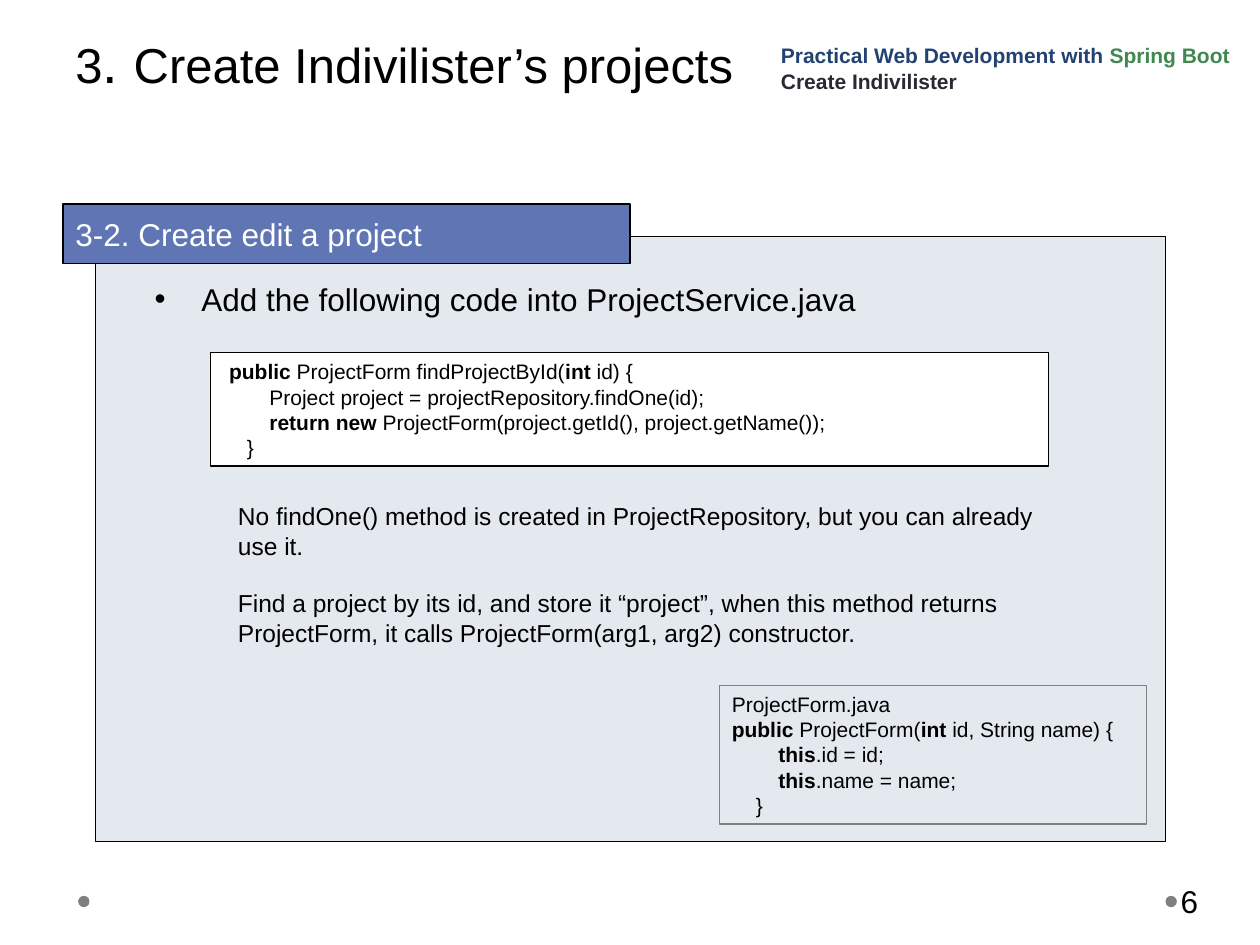
from pptx import Presentation
from pptx.dml.color import RGBColor
from pptx.enum.shapes import MSO_SHAPE
from pptx.enum.text import MSO_ANCHOR
from pptx.oxml import parse_xml
from pptx.oxml.ns import nsdecls
from pptx.util import Inches, Pt

RECT, DOT = MSO_SHAPE.RECTANGLE, MSO_SHAPE.OVAL
TOP, MIDDLE, BOTTOM = MSO_ANCHOR.TOP, MSO_ANCHOR.MIDDLE, MSO_ANCHOR.BOTTOM
WIDTH, HEIGHT = 10, 7.5
BLACK, WHITE, GRAY = "000000", "FFFFFF", "7F7F7F"
NAVY, GREEN, INK = "234271", "40884F", "292934"
PANEL, BANNER, FRAME = "E4E9EF", "6076B4", "808080"


def color(value):
    return RGBColor.from_string(value)


def place(box):
    return [Inches(length) for length in box]


def add_panel(page, box, fill=None, line=None, kind=RECT):
    panel = page.shapes.add_shape(kind, *place(box))
    panel.shadow.inherit = False
    if fill:
        panel.fill.solid()
        panel.fill.fore_color.rgb = color(fill)
    else:
        panel.fill.background()
    if line:
        panel.line.color.rgb = color(line)
        panel.line.width = Pt(0.74)
    else:
        panel.line.fill.background()
    return panel


def write(shape, paras, size, ink=BLACK, anchor=TOP, top=0.05, left=0.1):
    """Each paragraph is a list of (text, overrides) spans."""
    frame = shape.text_frame
    frame.word_wrap = True
    frame.vertical_anchor = anchor
    frame.margin_left, frame.margin_top = Inches(left), Inches(top)
    for index, spans in enumerate(paras):
        para = frame.paragraphs[0] if index == 0 else frame.add_paragraph()
        para.alignment = 1
        for text, style in spans:
            span = para.add_run()
            span.text = text
            span.font.name = "Arial"
            span.font.size = Pt(style.get("size", size))
            span.font.bold = style.get("bold", False)
            span.font.color.rgb = color(style.get("ink", ink))
    return frame


def add_text(page, box, paras, size, **options):
    return write(page.shapes.add_textbox(*place(box)), paras, size, **options)


def set_indent(para, left, first=0):
    properties = para._p.get_or_add_pPr()
    properties.set("marL", str(Inches(left)))
    properties.set("indent", str(Inches(first)))
    return properties


def add_code(page, box, lines, fill, line):
    """Each line is (indent, text); pieces between asterisks are bold."""
    paras = [[(piece, {"bold": turn % 2 == 1})
              for turn, piece in enumerate(text.split("*")) if piece]
             for _, text in lines]
    frame = write(add_panel(page, box, fill, line), paras, 12)
    for para, (indent, _) in zip(frame.paragraphs, lines):
        set_indent(para, indent)


def add_header(page, left, top):
    # Title
    add_text(page, (left, 0, 9, 1.61),
             [[("3", {}), (". ", {"size": 32}),
               ("Create Indivilister’s projects", {})]], 28, top=0.22)
    # Course name
    bold = {"bold": True}
    add_text(page, (left + 5.6, top, 3.9, 0.55),
             [[("Practical Web Development with ", {**bold, "ink": NAVY}),
               ("Spring Boot", {**bold, "ink": GREEN})],
              [("Create Indivilister", {**bold, "ink": INK})]],
             12, anchor=BOTTOM)


def add_content(page, left, top, width, height):
    # Panel and overlapping banner
    add_panel(page, (left, top, width, height), PANEL, BLACK)
    banner = add_panel(page, (left - 0.26, top - 0.26, 4.5, 0.47), BANNER, BLACK)
    write(banner, [[("3-2. Create edit a project", {})]], 18, WHITE, MIDDLE)

    # Bulleted instruction
    step = add_text(page, (left + 0.37, top + 0.29, 7.74, 0.4),
                    [[("Add the following code into ProjectService.java", {})]], 18)
    properties = set_indent(step.paragraphs[0], 0.37, -0.37)
    properties.append(parse_xml(f'<a:buFont {nsdecls("a")} typeface="Arial"/>'))
    properties.append(parse_xml(f'<a:buChar {nsdecls("a")} char="•"/>'))

    # Service method
    add_code(page, (left + 0.91, top + 0.92, 6.65, 0.9), [
        (0.05, "*public* ProjectForm findProjectById(*int* id) {"),
        (0.37, "Project project = projectRepository.findOne(id);"),
        (0.37, "*return new* ProjectForm(project.getId(), project.getName());"),
        (0.19, "}")], WHITE, BLACK)

    # Explanations
    notes = [
        (2.05, 6.54, 0.57, "No findOne() method is created in ProjectRepository, "
                           "but you can already use it."),
        (2.74, 6.86, 0.8, "Find a project by its id, and store it “project”, when this "
                          "method returns ProjectForm, it calls "
                          "ProjectForm(arg1, arg2) constructor.")]
    for offset, note_width, note_height, text in notes:
        add_text(page, (left + 1.03, top + offset, note_width, note_height),
                 [[(text, {})]], 14)

    # Constructor
    add_code(page, (left + 4.95, top + 3.56, 3.39, 1.1), [
        (0, "ProjectForm.java"),
        (0, "*public* ProjectForm(*int* id, String name) {"),
        (0.37, "*this*.id = id;"),
        (0.37, "*this*.name = name;"),
        (0.19, "}")], None, FRAME)


def add_footer(page, top):
    for left in (0.62, 9.25):
        add_panel(page, (left, top, 0.09, 0.09), GRAY, kind=DOT)
    add_text(page, (9.34, top - 0.16, 0.61, 0.4), [[("6", {})]], 18,
             anchor=MIDDLE, left=0.03)


deck = Presentation()
deck.slide_width, deck.slide_height = Inches(WIDTH), Inches(HEIGHT)
slide = deck.slides.add_slide(deck.slide_layouts[6])
add_footer(slide, 7.11)
add_content(slide, 0.76, 1.88, 8.49, 4.8)
add_header(slide, 0.5, 0.24)
deck.save("out.pptx")
